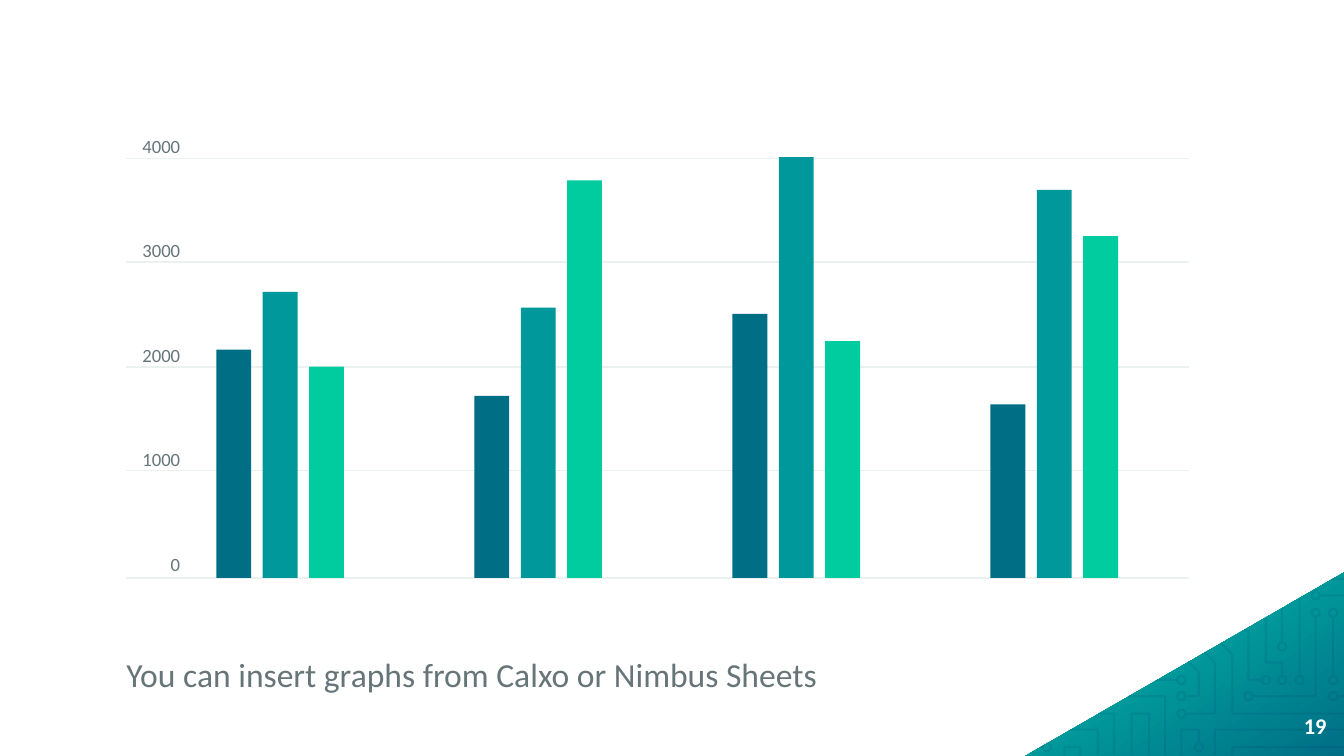
import copy
import math

from lxml import etree
from pptx import Presentation
from pptx import util as u
from pptx.dml import color
from pptx.enum import shapes, text
from pptx.oxml import ns

GRAY, GRID, WHITE, NAVY = "677579", "EBF1EE", "FFFFFF", "00226D"
BLUE, TEAL, GREEN = "006E85", "00989A", "00CCA0"


def rgb(value):
    return color.RGBColor.from_string(value)


def write(frame, lines, size, ink=GRAY, bold=False, align=text.PP_ALIGN.LEFT,
          anchor=text.MSO_ANCHOR.TOP, spacing=1.0, gap=0, after=0):
    frame.word_wrap = True
    frame.auto_size = text.MSO_AUTO_SIZE.NONE
    frame.vertical_anchor = anchor
    frame.margin_left = frame.margin_right = 0
    frame.margin_top = frame.margin_bottom = 0
    for index, line in enumerate(lines):
        paragraph = frame.paragraphs[0] if index == 0 else frame.add_paragraph()
        paragraph.alignment = align
        paragraph.line_spacing = spacing
        paragraph.space_before = u.Pt(gap if index else 0)
        paragraph.space_after = u.Pt(after)
        run = paragraph.add_run()
        run.text = line
        run.font.name = "Calibri"
        run.font.size = u.Pt(size)
        run.font.bold = bold
        run.font.color.rgb = rgb(ink)


# Widescreen 16:9 slide
presentation = Presentation()
presentation.slide_width = u.Inches(10)
presentation.slide_height = u.Inches(10 * 9 / 16)
slide = presentation.slides.add_slide(presentation.slide_layouts[1])
title = slide.shapes.title
title.element.getparent().remove(title.element)

# Corner triangle with a three-colour gradient
bottom = presentation.slide_height
builder = slide.shapes.build_freeform(u.Inches(10), u.Inches(4.26))
builder.add_line_segments([(u.Inches(7.63), bottom), (u.Inches(10), bottom)])
corner = builder.convert_to_shape()
corner.shadow.inherit = False
corner.line.fill.background()
corner.fill.gradient()
corner.fill.gradient_angle = 300
stop_list = corner.element.spPr.find(".//" + ns.qn("a:gsLst"))
stop_list.insert(1, copy.deepcopy(stop_list[0]))
for stop, position, ink in zip(corner.fill.gradient_stops, (0, 0.5, 1),
                               (GREEN, TEAL, BLUE)):
    stop.position = position
    stop.color.rgb = rgb(ink)

# Circuit pattern: open traces plus small rings, in one outline
traces = [
    [(9.96, 5.18), (10, 5.18)],
    [(9.42, 4.6), (9.42, 4.93), (9.54, 4.93), (9.54, 5.02)],
    [(9.25, 4.69), (9.29, 4.69), (9.29, 5.06), (9.38, 5.06)],
    [(9.54, 4.52), (9.54, 4.77)],
    [(9.17, 5.62), (9.17, 5.56), (10, 5.56)],
    [(9.9, 4.31), (10, 4.31)],
    [(9.83, 4.43), (10, 4.43)],
    [(9.67, 4.45), (9.67, 5.02)],
    [(9.92, 4.6), (9.92, 5.02)],
    [(9.33, 5.18), (9.79, 5.18), (9.79, 4.6)],
    [(8.83, 5.18), (8.92, 5.18), (8.92, 5), (8.84, 4.92)],
    [(8.42, 5.62), (8.42, 5.31), (8.55, 5.31), (8.55, 5.62)],
    [(8.39, 5.18), (8.67, 5.18), (8.67, 5.62)],
    [(9.08, 4.78), (9.17, 4.87), (9.17, 5.31), (10, 5.31)],
    [(8.92, 5.52), (8.92, 5.43), (8.79, 5.43), (8.79, 5.62)],
    [(9.04, 5.62), (9.04, 5.43), (10, 5.43)],
    [(8.83, 5.31), (9.04, 5.31), (9.04, 4.93), (8.96, 4.85)],
    [(8.17, 5.31), (8.29, 5.31), (8.29, 5.62)],
    [(8.6, 5.06), (8.76, 5.06)],
    [(7.92, 5.62), (7.92, 5.56), (8.04, 5.56), (8.04, 5.62)],
    [(7.95, 5.43), (8.17, 5.43), (8.17, 5.62)],
    [(7.74, 5.56), (7.76, 5.56)],
]
ring_centers = [
    (9.92, 5.18), (9.54, 5.06), (9.42, 5.06), (9.54, 4.81), (9.79, 4.43),
    (9.67, 5.06), (9.92, 5.06), (9.92, 4.56), (9.29, 5.18), (9.79, 4.56),
    (8.79, 5.18), (8.92, 5.56), (8.79, 5.31), (7.79, 5.56), (8.79, 5.06),
]
for x, y in ring_centers:
    angles = [math.tau * step / 16 for step in range(17)]
    traces.append([(x + 0.03 * math.cos(a), y + 0.03 * math.sin(a)) for a in angles])

builder = None
for trace in traces:
    start, *rest = [(u.Inches(x), u.Inches(y)) for x, y in trace]
    if builder is None:
        builder = slide.shapes.build_freeform(*start)
    else:
        builder.move_to(*start)
    builder.add_line_segments(rest, close=False)
circuit = builder.convert_to_shape()
circuit.shadow.inherit = False
circuit.fill.background()
circuit.line.width = u.Pt(1.1)
circuit.line.color.rgb = rgb(NAVY)
line_color = circuit.element.spPr.find(".//" + ns.qn("a:srgbClr"))
etree.SubElement(line_color, ns.qn("a:alpha"), val="10000")

# Caption
caption = slide.placeholders[1]
caption.left, caption.top = u.Inches(0.94), u.Inches(4.82)
caption.width, caption.height = u.Inches(8.13), u.Inches(0.38)
write(caption.text_frame, ["You can insert graphs from Calxo or Nimbus Sheets"], 18,
      spacing=1.15, after=10)
properties = caption.text_frame.paragraphs[0]._p.get_or_add_pPr()
properties.set("marL", "0")
properties.set("indent", "0")
etree.SubElement(properties, ns.qn("a:buNone"))

# Slide number
number = slide.shapes.add_textbox(u.Inches(9.27), u.Inches(5.2), u.Inches(0.6), u.Inches(0.43))
write(number.text_frame, ["19"], 12, ink=WHITE, bold=True, spacing=0.9,
      align=text.PP_ALIGN.RIGHT, anchor=text.MSO_ANCHOR.MIDDLE)

# Grid lines
for y in (1.18, 1.95, 2.73, 3.5, 4.3):
    line = slide.shapes.add_connector(shapes.MSO_CONNECTOR.STRAIGHT, u.Inches(0.94),
                                      u.Inches(y), u.Inches(8.85), u.Inches(y))
    line.line.color.rgb = rgb(GRID)
    line.line.width = u.Pt(0.75)
    etree.SubElement(line.element.spPr, ns.qn("a:effectLst"))

# Axis labels
axis = slide.shapes.add_textbox(u.Inches(0.94), u.Inches(1), u.Inches(0.4), u.Inches(3.31))
write(axis.text_frame, ["4000", "3000", "2000", "1000", "0"], 10,
      align=text.PP_ALIGN.RIGHT, gap=44)

# Bars: four groups of three, scaled so that 4000 reaches the top line
groups = [(2170, 2720, 2010), (1730, 2570, 3780), (2510, 4000, 2250), (1650, 3690, 3250)]
baseline, full_height = 4.3, 3.13
group_pitch = 1.92
bar_pitch = 0.69 / 2
for group, values in enumerate(groups):
    for series, (value, ink) in enumerate(zip(values, (BLUE, TEAL, GREEN))):
        height = full_height * value / 4000
        left = 1.61 + group_pitch * group + bar_pitch * series
        bar = slide.shapes.add_shape(shapes.MSO_SHAPE.RECTANGLE, u.Inches(left),
                                     u.Inches(baseline - height), u.Inches(0.26),
                                     u.Inches(height))
        bar.shadow.inherit = False
        bar.fill.solid()
        bar.fill.fore_color.rgb = rgb(ink)
        bar.line.fill.background()

presentation.save("out.pptx")
